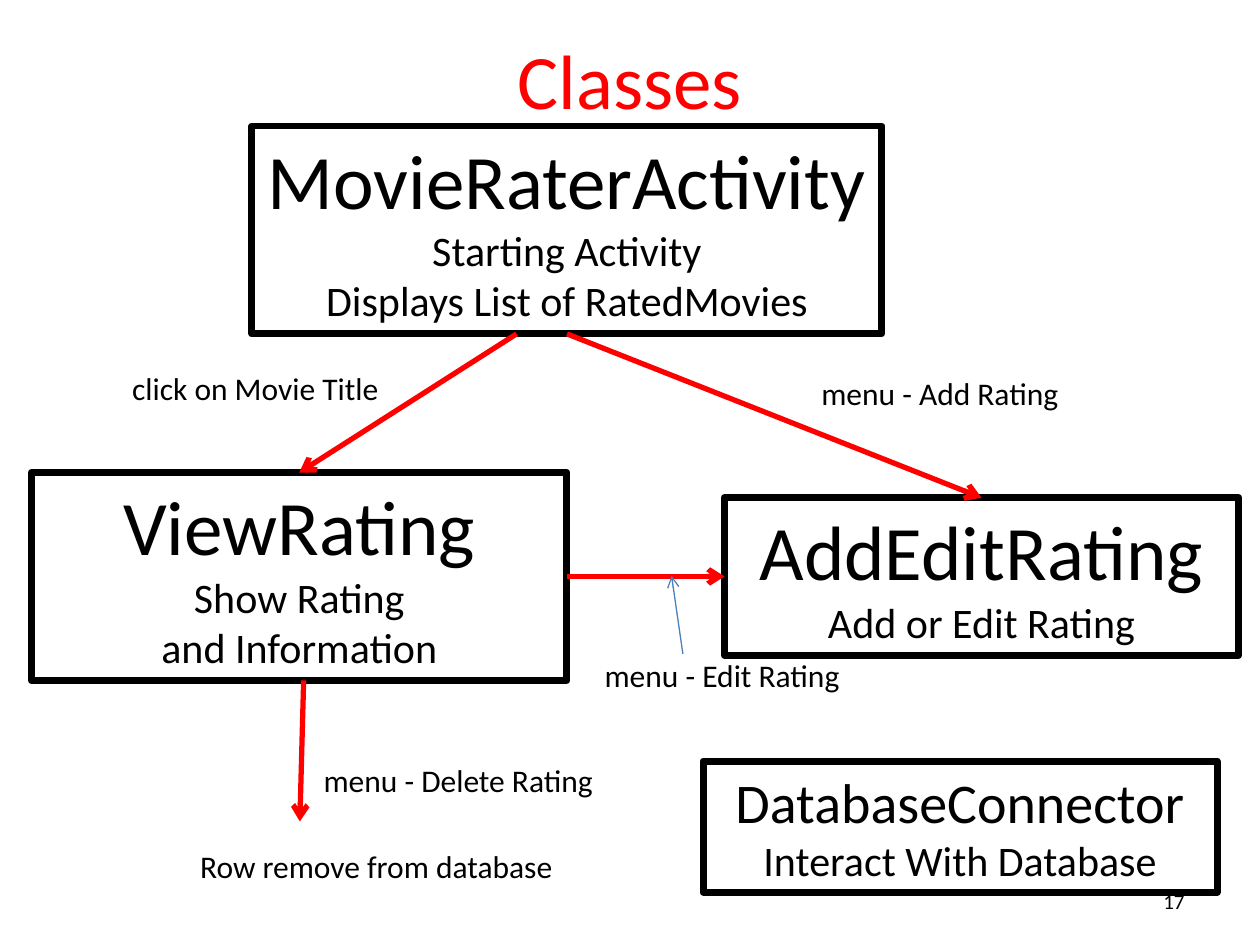
from lxml.etree import SubElement
from pptx import Presentation
from pptx.dml.color import RGBColor
from pptx.enum.shapes import MSO_CONNECTOR, MSO_SHAPE
from pptx.enum.text import MSO_ANCHOR, MSO_AUTO_SIZE, PP_ALIGN
from pptx.oxml.ns import qn
from pptx.util import Inches, Pt

BLACK = RGBColor(0x00, 0x00, 0x00)
WHITE = RGBColor(0xFF, 0xFF, 0xFF)
RED = RGBColor(0xFF, 0x00, 0x00)
BLUE = RGBColor(0x4B, 0x7E, 0xBC)
FONT = "Calibri"
TOP, LEFT, BOTTOM, RIGHT = range(4)


def set_font(font, size, color=BLACK):
    """Apply the slide's typeface with a size and colour."""
    font.name = FONT
    font.size = Pt(size)
    font.color.rgb = color


def add_title(s, text):
    """Place and format the title placeholder."""
    title = s.shapes.title
    title.left, title.top = Inches(0.5), Inches(0)
    title.width, title.height = Inches(9), Inches(1.25)
    tf = title.text_frame
    tf.text = text
    tf.vertical_anchor = MSO_ANCHOR.MIDDLE
    p = tf.paragraphs[0]
    p.alignment = PP_ALIGN.CENTER
    set_font(p.font, 44, RED)


def add_class_box(s, x, y, w, h, name, paragraphs, size=44, fill=None):
    """Draw an outlined class box: a large name above its description."""
    box = s.shapes.add_shape(MSO_SHAPE.RECTANGLE, Inches(x), Inches(y), Inches(w), Inches(h))
    box.shadow.inherit = False
    if fill is None:
        box.fill.background()
    else:
        box.fill.solid()
        box.fill.fore_color.rgb = fill
    box.line.color.rgb = BLACK
    box.line.width = Pt(4)
    tf = box.text_frame
    tf.word_wrap = True
    tf.auto_size = MSO_AUTO_SIZE.SHAPE_TO_FIT_TEXT
    tf.vertical_anchor = MSO_ANCHOR.TOP
    for i, lines in enumerate(paragraphs):
        p = tf.add_paragraph() if i else tf.paragraphs[0]
        p.alignment = PP_ALIGN.CENTER
        runs = [(line, 24) for line in lines]
        if i == 0:
            runs.insert(0, (name, size))
        for j, (text, points) in enumerate(runs):
            if j:
                p.add_line_break()
            r = p.add_run()
            r.text = text
            set_font(r.font, points)
    return box


def add_label(s, x, y, w, text):
    """Add a one-line arrow label."""
    tf = s.shapes.add_textbox(Inches(x), Inches(y), Inches(w), Inches(0.4)).text_frame
    tf.word_wrap = False
    tf.auto_size = MSO_AUTO_SIZE.SHAPE_TO_FIT_TEXT
    tf.text = text
    set_font(tf.paragraphs[0].font, 18)


def add_page_number(s, text):
    """Add the page number at the lower right."""
    tf = s.shapes.add_textbox(Inches(7.17), Inches(6.95), Inches(2.33), Inches(0.4)).text_frame
    tf.word_wrap = True
    tf.vertical_anchor = MSO_ANCHOR.MIDDLE
    tf.text = text
    p = tf.paragraphs[0]
    p.alignment = PP_ALIGN.RIGHT
    set_font(p.font, 12)


def add_arrow(s, start, end, color=RED, width=3):
    """Draw an arrow; each end is an (x, y) point or a (box, side) pair."""
    (x1, y1), (x2, y2) = [(0, 0) if hasattr(e[0], "text_frame") else e for e in (start, end)]
    c = s.shapes.add_connector(MSO_CONNECTOR.STRAIGHT, Inches(x1), Inches(y1), Inches(x2), Inches(y2))
    for target, connect in ((start, c.begin_connect), (end, c.end_connect)):
        if hasattr(target[0], "text_frame"):
            connect(*target)
    c.line.color.rgb = color
    c.line.width = Pt(width)
    SubElement(c.line._get_or_add_ln(), qn("a:tailEnd"), type="arrow")
    SubElement(c._element.spPr, qn("a:effectLst"))


def main():
    """Build the class diagram slide."""
    prs = Presentation()
    prs.slide_width, prs.slide_height = Inches(10), Inches(7.5)
    s = prs.slides.add_slide(prs.slide_layouts[5])
    add_title(s, "Classes")
    add_page_number(s, "17")

    movie = add_class_box(s, 2, 1, 5, 1.65, "MovieRaterActivity",
                          [["Starting Activity"], ["Displays List of RatedMovies"]])
    edit = add_class_box(s, 5.75, 3.95, 4.08, 1.25, "AddEditRating", [["Add or Edit Rating"]])
    view = add_class_box(s, 0.25, 3.75, 4.25, 1.65, "ViewRating",
                         [["Show Rating", "and Information"]])
    add_class_box(s, 5.58, 6.04, 4.08, 1.04, "DatabaseConnector",
                  [["Interact With Database"]], size=32, fill=WHITE)

    add_arrow(s, (movie, BOTTOM), (edit, TOP))
    add_arrow(s, (4.1, 2.65), (view, TOP))
    add_arrow(s, (view, RIGHT), (edit, LEFT))
    add_arrow(s, (2.41, 5.4), (2.38, 6.52))
    add_arrow(s, (5.42, 5.19), (5.33, 4.57), BLUE, 0.75)

    for x, y, w, text in (
        (6.42, 2.92, 2.11, "menu - Add Rating"),
        (0.95, 2.88, 2.18, "click on Movie Title"),
        (4.7, 5.16, 2.09, "menu - Edit Rating"),
        (2.47, 5.99, 2.37, "menu - Delete Rating"),
        (1.49, 6.67, 3.03, "Row remove from database"),
    ):
        add_label(s, x, y, w, text)
    prs.save("out.pptx")


if __name__ == "__main__":
    main()
